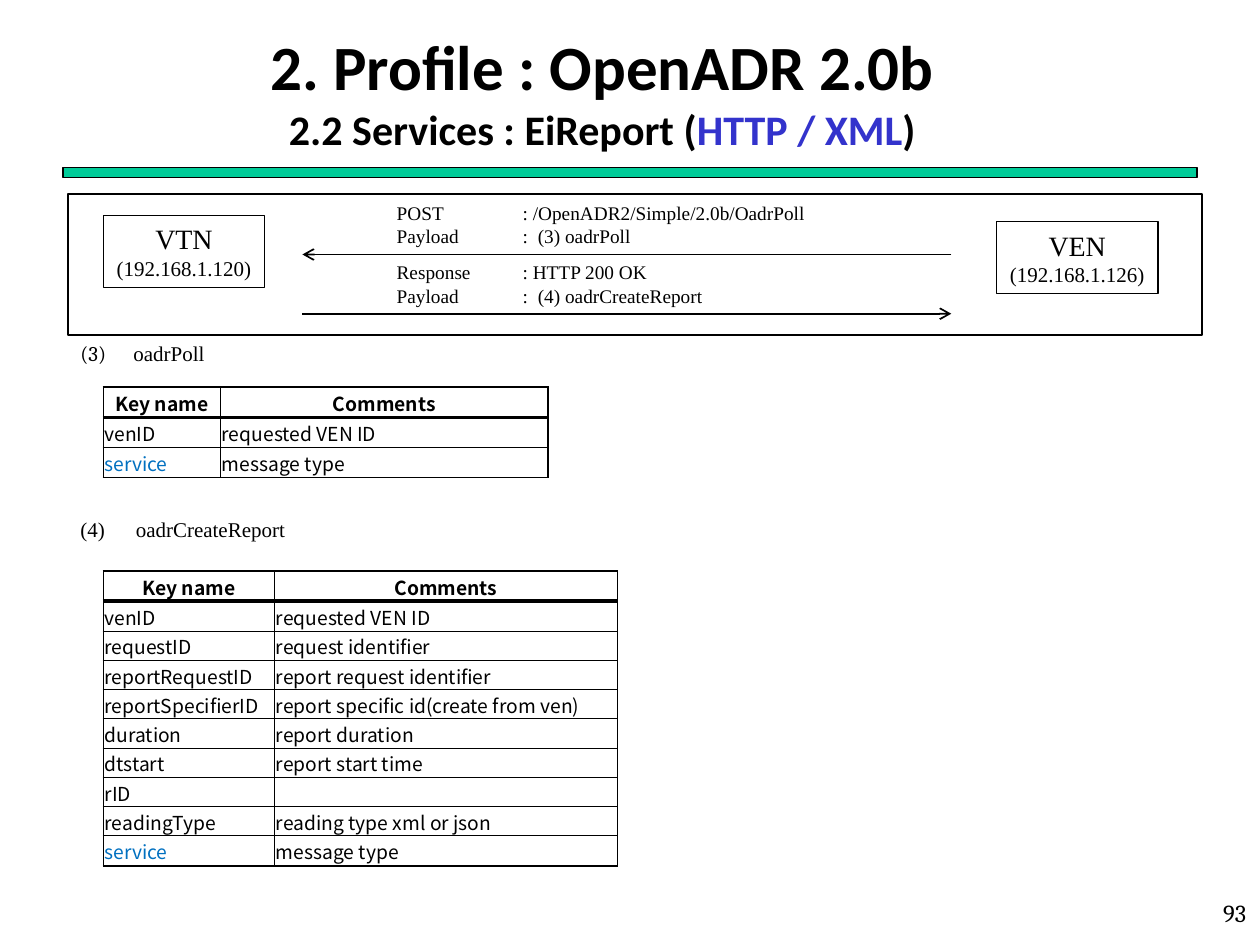
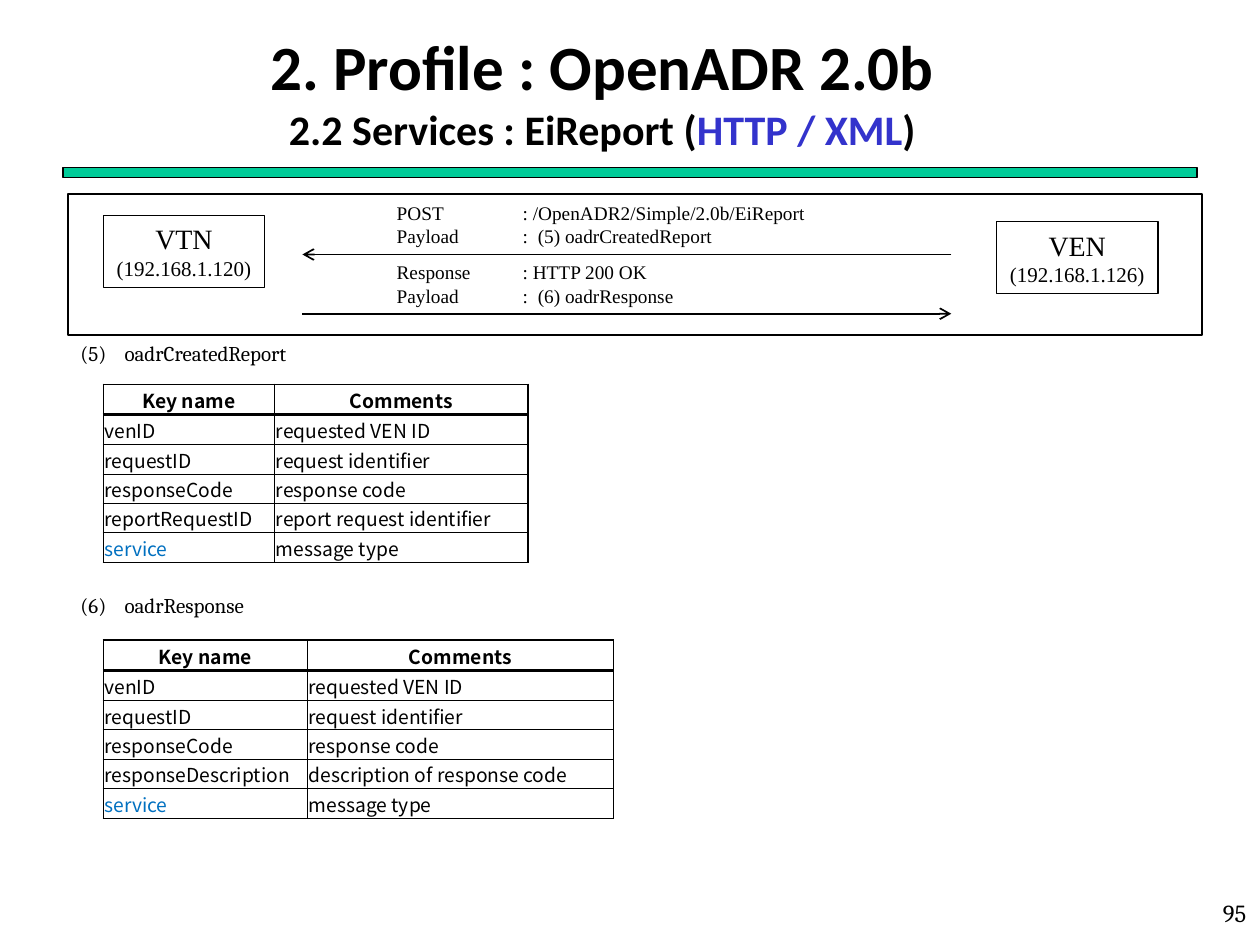
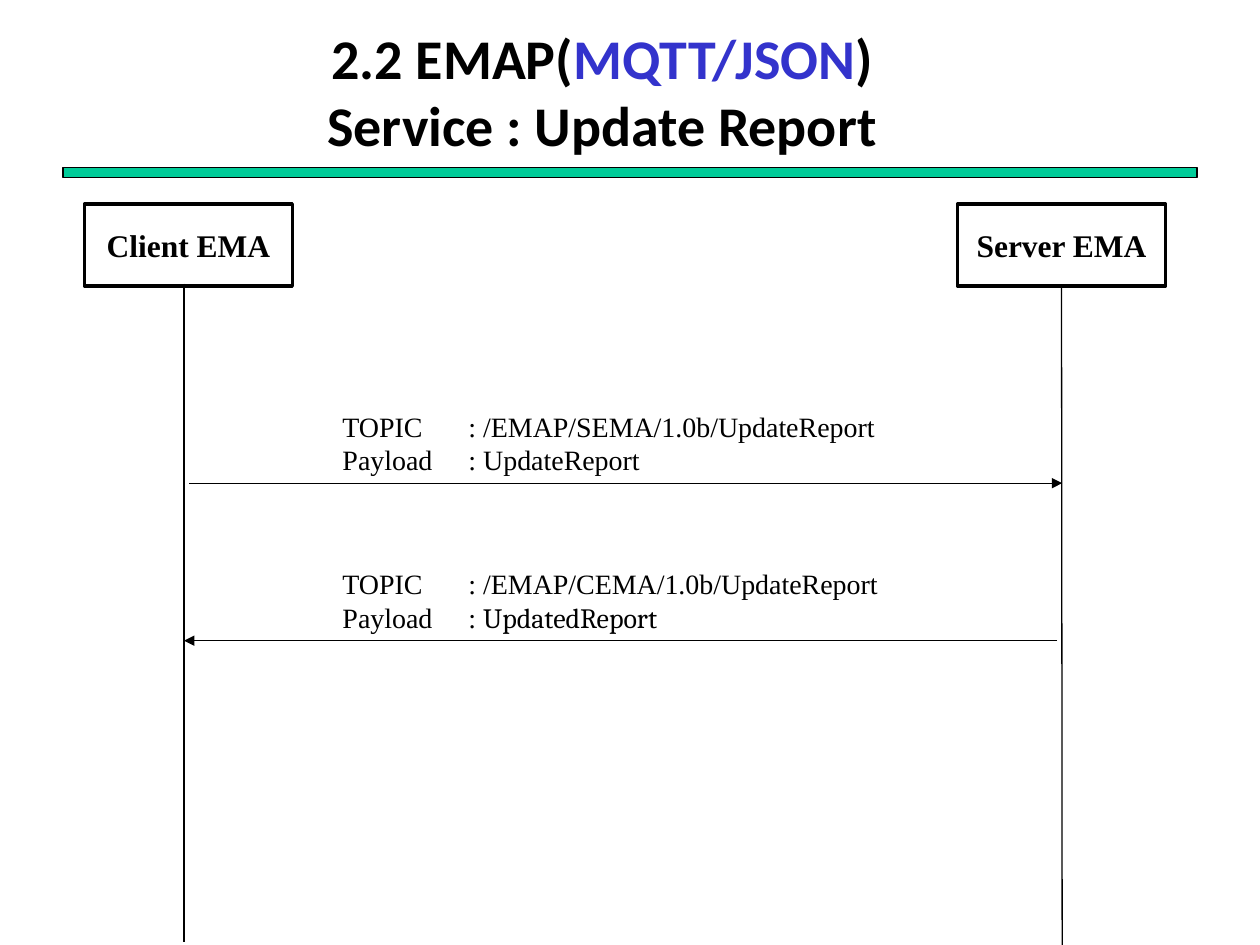
from dataclasses import dataclass
from lxml.etree import SubElement
from pptx import Presentation
from pptx.dml.color import RGBColor
from pptx.enum.shapes import MSO_CONNECTOR, MSO_SHAPE
from pptx.enum.text import MSO_ANCHOR, MSO_AUTO_SIZE, PP_ALIGN
from pptx.oxml.ns import qn
from pptx.util import Emu, Inches, Pt


@dataclass(frozen=True)
class Theme:
    ink: str = "000000"
    paper: str = "FFFFFF"
    band: str = "00CC99"
    accent: str = "3333CC"
    link: str = "0070C0"
    head: str = "Calibri"
    serif: str = "Times New Roman"
    book: str = "Cambria"
    grid: str = "Noto Sans CJK KR"
    main: int = 36
    duo: int = 32
    sub: int = 24
    actor: int = 18
    node: int = 16
    page: int = 14
    small: int = 12
    cell: int = 11


THEME = Theme()


def write(frame, lines, size=THEME.small, font=THEME.serif, color=THEME.ink,
          bold=False, align=PP_ALIGN.LEFT, anchor=MSO_ANCHOR.TOP, wrap=True, tabs=()):
    frame.auto_size = MSO_AUTO_SIZE.NONE
    frame.word_wrap = wrap
    frame.vertical_anchor = anchor
    for i, line in enumerate(lines):
        para = frame.add_paragraph() if i else frame.paragraphs[0]
        para.alignment = align
        if tabs:
            stops = SubElement(para._p.get_or_add_pPr(), qn("a:tabLst"))
            for stop in tabs:
                SubElement(stops, qn("a:tab"), pos=str(Inches(stop)), algn="l")
        for part in [(line, {})] if isinstance(line, str) else line:
            words, style = part
            run = para.add_run()
            run.text = words
            run.font.size = Pt(style.get("size", size))
            run.font.name = style.get("font", font)
            run.font.bold = bold
            run.font.color.rgb = RGBColor.from_string(style.get("color", color))


def label(slide, box, lines, **style):
    shape = slide.shapes.add_textbox(*map(Inches, box))
    write(shape.text_frame, lines, **style)


def block(slide, box, fill=None, width=0.75, lines=(), **style):
    shape = slide.shapes.add_shape(MSO_SHAPE.RECTANGLE, *map(Inches, box))
    shape.shadow.inherit = False
    if fill:
        shape.fill.solid()
        shape.fill.fore_color.rgb = RGBColor.from_string(fill)
    else:
        shape.fill.background()
    shape.line.color.rgb = RGBColor.from_string(THEME.ink)
    shape.line.width = Pt(width)
    write(shape.text_frame, lines, align=PP_ALIGN.CENTER,
          anchor=MSO_ANCHOR.MIDDLE, **style)
    return shape


def link(slide, start, end, width=0.75, tip=None):
    line = slide.shapes.add_connector(
        MSO_CONNECTOR.STRAIGHT, *map(Inches, (*start, *end)))
    line.line.color.rgb = RGBColor.from_string(THEME.ink)
    line.line.width = Pt(width)
    props = line._element.spPr
    if tip:
        SubElement(props.find(qn("a:ln")), qn("a:tailEnd"), type=tip)
    SubElement(props, qn("a:effectLst"))
    return line


def start(deck, title, size, page=None):
    slide = deck.slides.add_slide(deck.slide_layouts[5])
    block(slide, (0.5, 1.33, 9, 0.08), fill=THEME.band)
    head = slide.shapes.title
    head.left, head.top, head.width, head.height = map(Inches, (0.03, 0.26, 9.5, 0.92))
    write(head.text_frame, title, size=size, font=THEME.head, bold=True,
          align=PP_ALIGN.CENTER, anchor=MSO_ANCHOR.MIDDLE)
    if page:
        label(slide, (7.91, 7.08, 2.08, 0.42), [page], size=THEME.page,
              font=THEME.book, align=PP_ALIGN.RIGHT)
    return slide


def border(cell, widths):
    props = cell._tc.get_or_add_tcPr()
    for side, width in zip("LRTB", widths):
        line = SubElement(props, qn(f"a:ln{side}"), w=str(Pt(width)))
        fill = SubElement(line, qn("a:solidFill"))
        SubElement(fill, qn("a:srgbClr"), val=THEME.ink)


def grid(slide, spot, cols, rows):
    rows = [("Key name", "Comments"), ("venID", "requested VEN ID"),
            *rows, ("service", "message type")]
    last = len(rows) - 1
    tall = [0.24 if i in (0, 1, last) else 0.23 for i in range(len(rows))]
    box = (*spot, sum(cols), sum(tall))
    table = slide.shapes.add_table(len(rows), len(cols), *map(Inches, box)).table
    table.first_row = table.horz_banding = False
    for col, width in zip(table.columns, cols):
        col.width = Inches(width)
    for r, row in enumerate(rows):
        table.rows[r].height = Inches(tall[r])
        top = {0: 1, 1: 2}.get(r, 0.5)
        base = {0: 2, last: 1}.get(r, 0.5)
        for c, words in enumerate(row):
            cell = table.cell(r, c)
            border(cell, (0.5 if c else 1, 1 if c else 0.5, top, base))
            cell.fill.background()
            cell.margin_left = cell.margin_right = cell.margin_top = Inches(0.01)
            cell.margin_bottom = Emu(0)
            cell.vertical_anchor = MSO_ANCHOR.MIDDLE
            if words:
                write(cell.text_frame, [words], size=THEME.cell, font=THEME.grid,
                      color=THEME.link if words == "service" else THEME.ink,
                      bold=r == 0, align=PP_ALIGN.LEFT if r else PP_ALIGN.CENTER,
                      anchor=MSO_ANCHOR.MIDDLE)
            else:
                SubElement(cell.text_frame.paragraphs[0]._p, qn("a:endParaRPr"),
                           sz=str(THEME.cell * 100))


def panel(slide, box, route, sent, reply):
    x, y, _, _ = box
    block(slide, box, fill=THEME.paper, width=1)
    for name, host, dx, dy in (("VTN", "(192.168.1.120)", 0.28, 0.17),
                               ("VEN", "(192.168.1.126)", 7.37, 0.22)):
        block(slide, (x + dx, y + dy, 1.28, 0.57), fill=THEME.paper, wrap=False,
              lines=[[(name, {"size": THEME.node})], host])
    near, far = x + 1.86, x + 7.01
    for dy, lines, ends in (
            (0.01, [f"POST\t: {route}", f"Payload\t:\t{sent}"], (far, near)),
            (0.48, ["Response\t: HTTP 200 OK", f"Payload\t:\t{reply}"], (near, far))):
        label(slide, (x + 2.51, y + dy, 4.2, 0.47), lines,
              size=THEME.cell, tabs=(1, 1.12))
        link(slide, (ends[0], y + dy + 0.47), (ends[1], y + dy + 0.47),
             width=1, tip="arrow")


def report(deck, page, call, parts):
    title = ["2. Profile : OpenADR 2.0b",
             [("2.2 Services : EiReport (", {"size": THEME.sub}),
              ("HTTP / XML", {"size": THEME.sub, "color": THEME.accent}),
              (")", {"size": THEME.sub})]]
    slide = start(deck, title, THEME.main, page)
    panel(slide, (0.54, 1.54, 9, 1.12), *call)
    for y, runs, tab, top, cols, rows in parts:
        label(slide, (0.54, y, 6.91, 0.32), [runs], tabs=(tab,))
        grid(slide, (0.82, top), cols, rows)


def update(deck):
    title = [[("2.2 EMAP(", {}), ("MQTT/JSON", {"color": THEME.accent}), (")", {})],
             "Service : Update Report"]
    slide = start(deck, title, THEME.duo)
    actors = [block(slide, (x, 1.62, 1.65, 0.65), width=2, lines=[name],
                    size=THEME.actor, bold=True)
              for x, name in ((0.67, "Client EMA"), (7.6, "Server EMA"))]
    left, right = 1.46, 8.43
    link(slide, (left, 2.25), (left, 7.48))
    link(slide, (right, 2.27), (right, 7.5)).begin_connect(actors[1], 2)
    book = {"font": THEME.book}
    for y, topic, load, ends in (
            (3.2, "SEMA", ("UpdateReport", {}), (left + 0.04, right)),
            (4.45, "CEMA", ("UpdatedReport", book), (right - 0.04, left))):
        label(slide, (2.62, y, 5, 0.64),
              [f"TOPIC\t: /EMAP/{topic}/1.0b/UpdateReport", [("Payload\t: ", {}), load]],
              size=THEME.node, tabs=(1,))
        link(slide, (ends[0], y + 0.635), (ends[1], y + 0.635), tip="triangle")


def main():
    deck = Presentation()
    deck.slide_width, deck.slide_height = Inches(10), Inches(7.5)
    book = {"font": THEME.book}
    ask = ("requestID", "request identifier")
    ident = ("reportRequestID", "report request identifier")
    code = ("responseCode", "response code")
    report(deck, "93",
           ("/OpenADR2/Simple/2.0b/OadrPoll", "(3) oadrPoll", "(4) oadrCreateReport"),
           [(2.65, [("(3)\t", book), ("oadrPoll", {})], 0.42, 3.07, (0.93, 2.6), []),
            (4.05, [("(4)\toadrCreateReport", {})], 0.44, 4.53, (1.36, 2.72),
             [ask, ident,
              ("reportSpecifierID", "report specific id(create from ven)"),
              ("duration", "report duration"),
              ("dtstart", "report start time"),
              ("rID", ""),
              ("readingType", "reading type xml or json")])])
    report(deck, "95",
           ("/OpenADR2/Simple/2.0b/EiReport", "(5) oadrCreatedReport",
            "(6) oadrResponse"),
           [(2.65, [("(5)\toadrCreatedReport", book)], 0.35, 3.05, (1.36, 2.01),
             [ask, code, ident]),
            (4.65, [("(6)\toadrResponse", book)], 0.35, 5.08, (1.62, 2.43),
             [ask, code, ("responseDescription", "description of response code")])])
    update(deck)
    deck.save("out.pptx")


if __name__ == "__main__":
    main()
